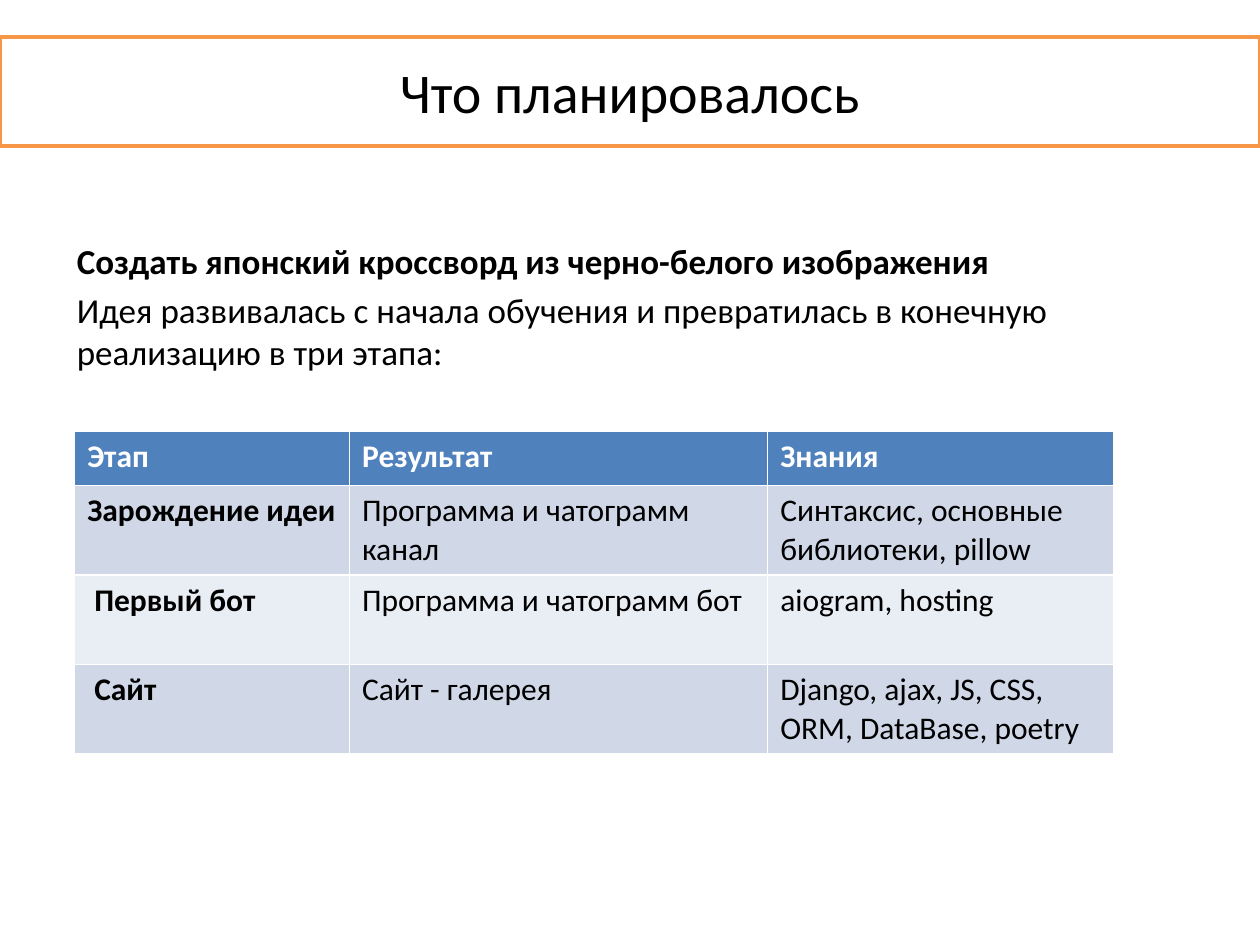
from dataclasses import dataclass

from lxml.etree import SubElement
from pptx import Presentation
from pptx.dml.color import RGBColor
from pptx.enum.text import MSO_ANCHOR, MSO_AUTO_SIZE, PP_ALIGN
from pptx.oxml.ns import qn
from pptx.util import Pt

FONT = "Calibri"
COLORS = {
    "text": "000000",
    "white": "FFFFFF",
    "frame": "F79646",
    "header": "4F81BD",
    "band_dark": "D0D8E8",
    "band_light": "E9EDF4",
}
TITLE = "Что планировалось"
IDEA = "Создать японский кроссворд из черно-белого изображения"
STORY = ("Идея развивалась с начала обучения и превратилась "
         "в конечную реализацию в три этапа:")
HEADINGS = ("Этап", "Результат", "Знания")
COLUMN_WIDTHS = (157, 239, 198)
HEADER_HEIGHT = 31
STAGE_HEIGHT = 51
CELL_MARGIN = 7.2


@dataclass(frozen=True)
class Stage:
    name: str
    result: str
    skills: str
    indent: float = 0


STAGES = (
    Stage("Зарождение идеи", "Программа и чатограмм канал",
          "Синтаксис, основные библиотеки, pillow"),
    Stage("Первый бот", "Программа и чатограмм бот", "aiogram, hosting", indent=4),
    Stage("Сайт", "Сайт - галерея",
          "Django, ajax, JS, CSS, ORM, DataBase, poetry", indent=4),
)


def color(name: str) -> RGBColor:
    return RGBColor.from_string(COLORS[name])


def place(shape, left: float, top: float, width: float, height: float) -> None:
    shape.left, shape.top = Pt(left), Pt(top)
    shape.width, shape.height = Pt(width), Pt(height)


def format_runs(para, size: float, ink: str = "text", bold: bool = False) -> None:
    for span in para.runs:
        span.font.name = FONT
        span.font.size = Pt(size)
        span.font.bold = bold
        span.font.color.rgb = color(ink)


def remove_bullet(para) -> None:
    properties = para._p.get_or_add_pPr()
    properties.set("marL", "0")
    properties.set("indent", "0")
    SubElement(properties, qn("a:buNone"))


def fill_title(box) -> None:
    place(box, 0, 21, 720, 62.6)
    box.fill.solid()
    box.fill.fore_color.rgb = color("white")
    box.line.color.rgb = color("frame")
    box.line.width = Pt(2)
    frame = box.text_frame
    frame.text = TITLE
    frame.auto_size = MSO_AUTO_SIZE.NONE
    frame.vertical_anchor = MSO_ANCHOR.MIDDLE
    para = frame.paragraphs[0]
    para.alignment = PP_ALIGN.CENTER
    format_runs(para, 32)


def fill_body(box) -> None:
    place(box, 36.7, 133.2, 648, 90.7)
    frame = box.text_frame
    frame.text = f"{IDEA}\n{STORY}"
    frame.auto_size = MSO_AUTO_SIZE.NONE
    for para, bold in zip(frame.paragraphs, (True, False)):
        para.space_before = Pt(4)
        remove_bullet(para)
        format_runs(para, 20, bold=bold)


def fill_cell(cell, text: str, fill: str, ink: str, bold: bool, indent: float = 0) -> None:
    cell.fill.solid()
    cell.fill.fore_color.rgb = color(fill)
    cell.margin_left = Pt(CELL_MARGIN + indent)
    cell.text_frame.text = text
    format_runs(cell.text_frame.paragraphs[0], 18, ink, bold)


def add_stage_table(page) -> None:
    height = HEADER_HEIGHT + STAGE_HEIGHT * len(STAGES)
    table = page.shapes.add_table(
        len(STAGES) + 1, len(HEADINGS),
        Pt(42.7), Pt(246.5), Pt(sum(COLUMN_WIDTHS)), Pt(height),
    ).table
    for column, width in zip(table.columns, COLUMN_WIDTHS):
        column.width = Pt(width)
    table.rows[0].height = Pt(HEADER_HEIGHT)
    for column, heading in enumerate(HEADINGS):
        fill_cell(table.cell(0, column), heading, "header", "white", True)
    for row, stage in enumerate(STAGES, start=1):
        table.rows[row].height = Pt(STAGE_HEIGHT)
        band = "band_dark" if row % 2 else "band_light"
        fill_cell(table.cell(row, 0), stage.name, band, "text", True, stage.indent)
        fill_cell(table.cell(row, 1), stage.result, band, "text", False)
        fill_cell(table.cell(row, 2), stage.skills, band, "text", False)


def main() -> None:
    deck = Presentation()
    deck.slide_width, deck.slide_height = Pt(720), Pt(540)
    page = deck.slides.add_slide(deck.slide_layouts[1])
    fill_title(page.shapes.title)
    fill_body(page.placeholders[1])
    add_stage_table(page)
    deck.save("out.pptx")


if __name__ == "__main__":
    main()
